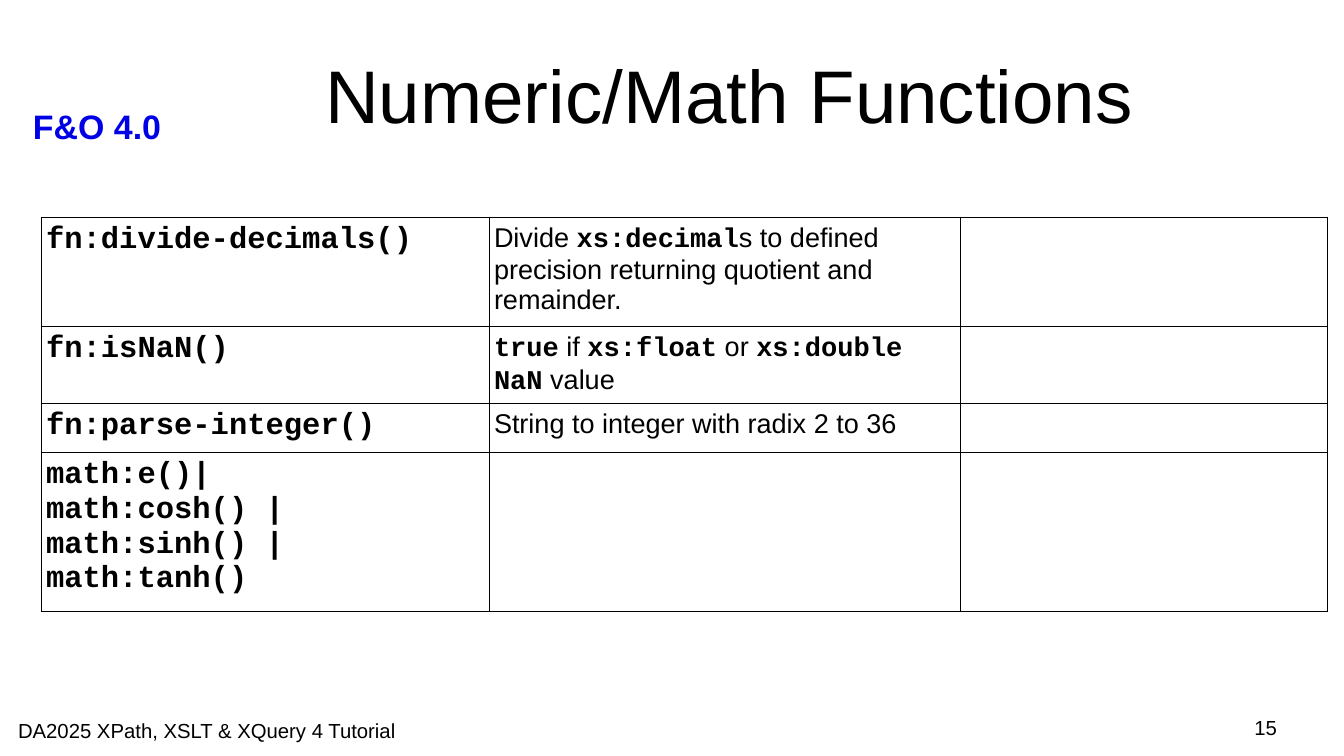
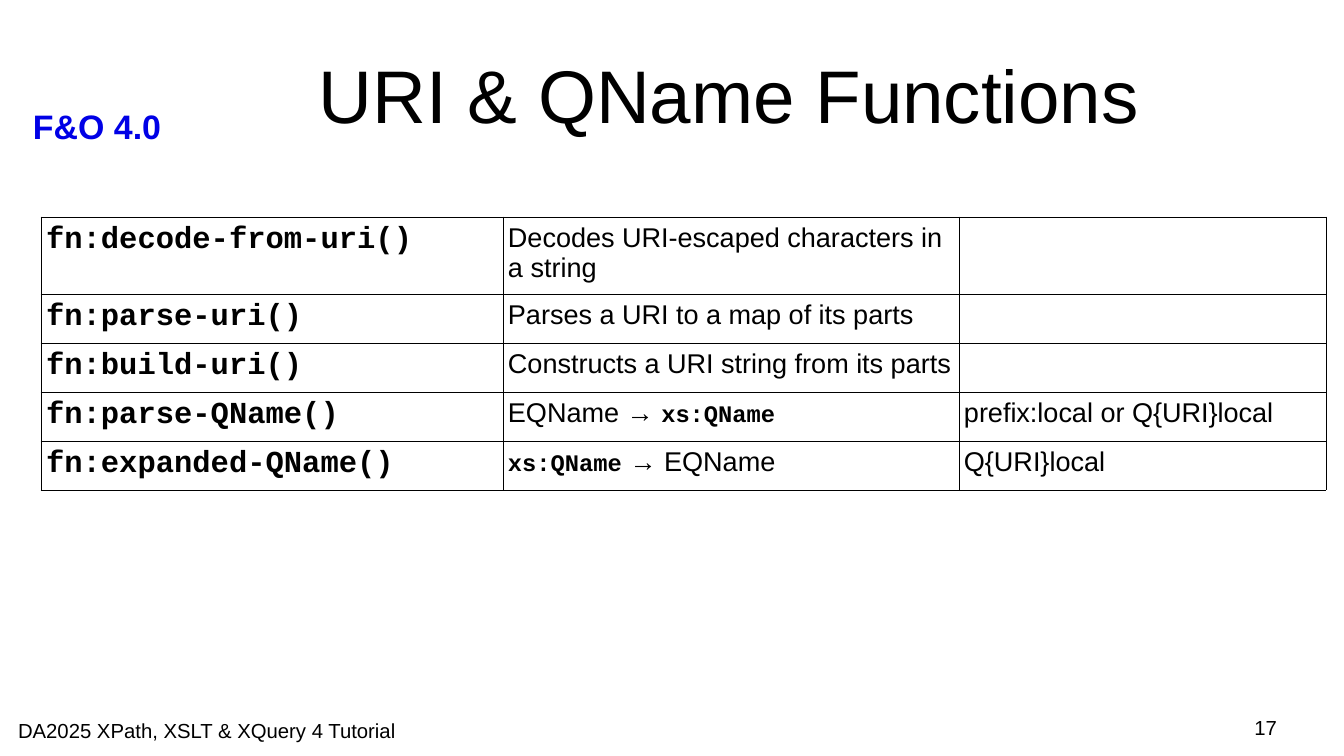
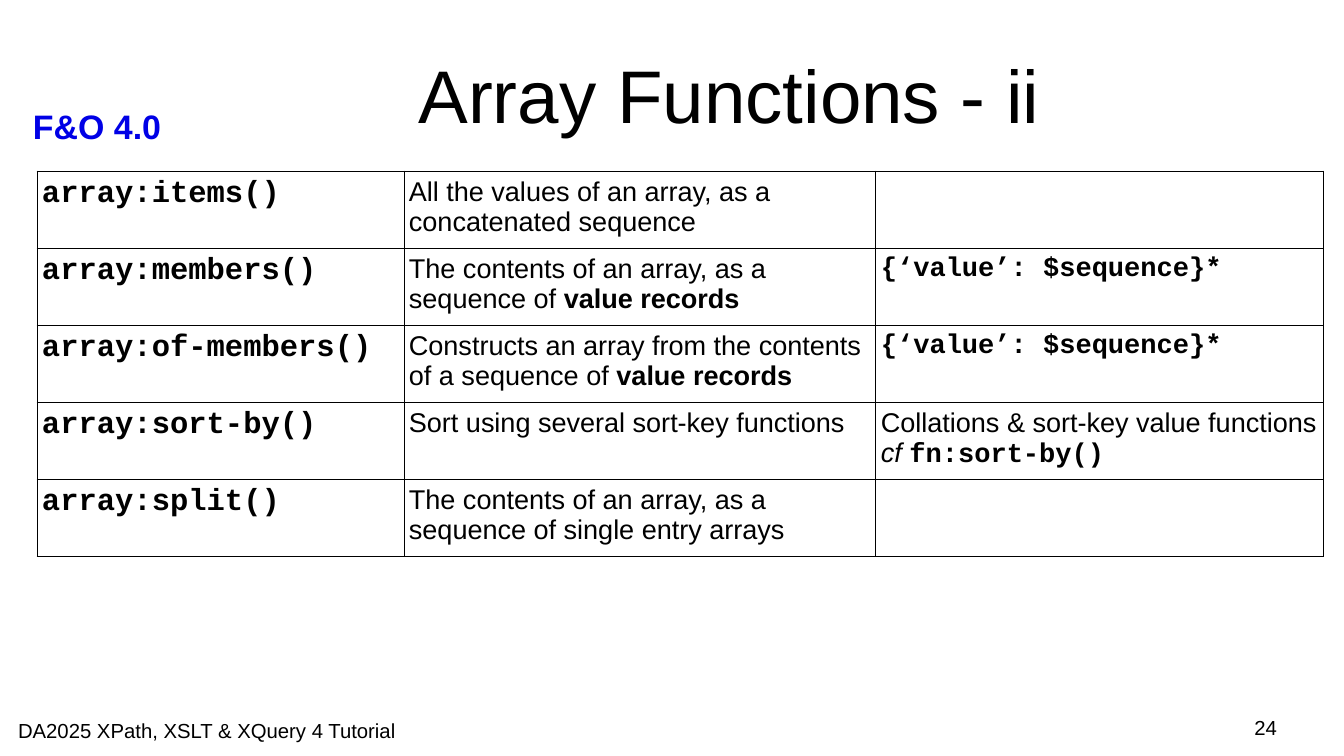
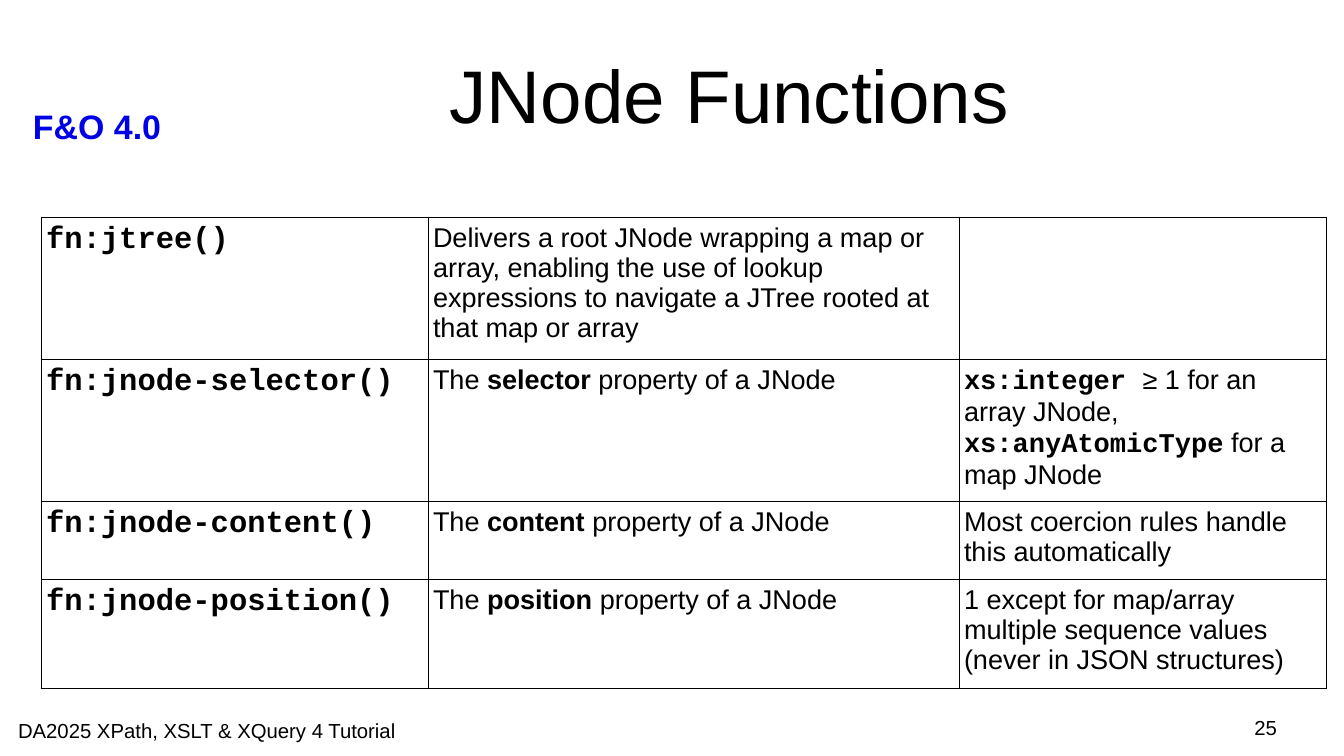
from dataclasses import dataclass, field

from lxml.etree import SubElement
from pptx import Presentation
from pptx.dml.color import RGBColor
from pptx.enum.text import MSO_ANCHOR, PP_ALIGN
from pptx.oxml.ns import qn
from pptx.util import Pt

PX = 7495  # EMU per px, 122 px to the inch


@dataclass(frozen=True)
class Theme:
    border: str = "000000"
    border_width: int = Pt(0.57)
    # style: font, size, bold, italic, colour
    styles: dict = field(default_factory=lambda: {
        "title": ("Arial", 44, False, False, "000000"),
        "badge": ("Arial", 20, True, False, "0000E6"),
        "footer": ("Arial", 12, False, False, "000000"),
        "name": ("Courier New", 18, True, False, "000000"),
        "plain": ("Arial", 16, False, False, "000000"),
        "bold": ("Arial", 16, True, False, "000000"),
        "italic": ("Arial", 16, False, True, "000000"),
        "code": ("Courier New", 16, True, False, "000000"),
        "small code": ("Courier New", 14, True, False, "000000"),
    })


theme = Theme()


def write(frame, paragraphs, align=PP_ALIGN.LEFT):
    """Fill a frame with paragraphs, each a list of (style, text) spans."""
    for index, spans in enumerate(paragraphs):
        para = frame.add_paragraph() if index else frame.paragraphs[0]
        para.alignment = align
        for style, text in spans:
            if text == "\n":
                para.add_line_break()
                continue
            span = para.add_run()
            span.text = text
            name, size, bold, italic, colour = theme.styles[style]
            span.font.name = name
            span.font.size = Pt(size)
            span.font.bold = bold
            span.font.italic = italic
            span.font.color.rgb = RGBColor.from_string(colour)


def set_margins(target, across, down):
    """Set the inner margins of a text frame or a table cell, in px."""
    target.margin_left = target.margin_right = across * PX
    target.margin_top = target.margin_bottom = down * PX


# Each row: height, function names, description spans, note spans
record_note = [("code", "{‘value’: $sequence}*")]
pages = [
    {
        "title": "Numeric/Math Functions", "number": 15,
        "corner": (41, 217), "columns": (448, 471, 367),
        "rows": [
            (109, "fn:divide-decimals()",
             [("plain", "Divide "), ("code", "xs:decimal"),
              ("plain", "s to defined precision returning quotient and remainder.")], []),
            (77, "fn:isNaN()",
             [("code", "true"), ("plain", " if "), ("code", "xs:float"), ("plain", " or "),
              ("code", "xs:double NaN"), ("plain", " value")], []),
            (49, "fn:parse-integer()", [("plain", "String to integer with radix 2 to 36")], []),
            (159, "math:e()|\nmath:cosh() | math:sinh() |math:tanh()", [], []),
        ],
    },
    {
        "title": "URI & QName Functions", "number": 17,
        "corner": (41, 217), "columns": (462, 456, 367),
        "rows": [
            (77, "fn:decode-from-uri()",
             [("plain", "Decodes URI-escaped characters in a string")], []),
            (49, "fn:parse-uri()", [("plain", "Parses a URI to a map of its parts")], []),
            (49, "fn:build-uri()", [("plain", "Constructs a URI string from its parts")], []),
            (49, "fn:parse-QName()", [("plain", "EQName → "), ("small code", "xs:QName")],
             [("plain", "prefix:local or Q{URI}local")]),
            (49, "fn:expanded-QName()", [("small code", "xs:QName"), ("plain", " → EQName")],
             [("plain", "Q{URI}local")]),
        ],
    },
    {
        "title": "Array Functions - ii", "number": 24,
        "corner": (37, 171), "columns": (367, 472, 448),
        "rows": [
            (77, "array:items()",
             [("plain", "All the values of an array, as a concatenated sequence")], []),
            (77, "array:members()",
             [("plain", "The contents of an array, as a sequence of "),
              ("bold", "value records")], record_note),
            (77, "array:of-members()",
             [("plain", "Constructs an array from the contents of a sequence of "),
              ("bold", "value records")], record_note),
            (77, "array:sort-by()", [("plain", "Sort using several sort-key functions")],
             [("plain", "Collations & sort-key value functions"), ("plain", "\n"),
              ("italic", "cf "), ("code", "fn:sort-by()")]),
            (77, "array:split()",
             [("plain", "The contents of an array, as a sequence of single entry arrays")], []),
        ],
    },
    {
        "title": "JNode Functions", "number": 25,
        "corner": (41, 217), "columns": (387, 531, 367),
        "rows": [
            (142, "fn:jtree()",
             [("plain", "Delivers a root JNode wrapping a map or array, enabling the use of "
                        "lookup expressions to navigate a JTree rooted at that map or array")], []),
            (109, "fn:jnode-selector()",
             [("plain", "The "), ("bold", "selector"), ("plain", " property of a JNode")],
             [("code", "xs:integer "), ("plain", "≥ 1 for an array JNode, "),
              ("code", "xs:anyAtomicType"), ("plain", " for a map JNode")]),
            (78, "fn:jnode-content()",
             [("plain", "The "), ("bold", "content"), ("plain", " property of a JNode")],
             [("plain", "Most coercion rules handle this automatically")]),
            (109, "fn:jnode-position()",
             [("plain", "The "), ("bold", "position"), ("plain", " property of a JNode")],
             [("plain", "1 except for map/array multiple sequence values "
                        "(never in JSON structures)")]),
        ],
    },
]

deck = Presentation()
deck.slide_width = 1344 * PX
deck.slide_height = 756 * PX

for content in pages:
    page = deck.slides.add_slide(deck.slide_layouts[6])

    # Badge, title, footer and page number
    for style, text, place, margins, align, anchor in (
        ("badge", "F&O 4.0", (21, 100, 168, 50), (12, 6), PP_ALIGN.LEFT, MSO_ANCHOR.TOP),
        ("title", content["title"], (181, 30, 1097, 127), (0, 0),
         PP_ALIGN.CENTER, MSO_ANCHOR.MIDDLE),
        ("footer", "DA2025 XPath, XSLT & XQuery 4 Tutorial", (18, 718, 426, 23), (0, 0),
         PP_ALIGN.LEFT, MSO_ANCHOR.TOP),
        ("footer", str(content["number"]), (963, 715, 314, 29), (0, 0),
         PP_ALIGN.RIGHT, MSO_ANCHOR.TOP),
    ):
        box = page.shapes.add_textbox(*(length * PX for length in place))
        frame = box.text_frame
        frame.word_wrap = True
        frame.vertical_anchor = anchor
        set_margins(frame, *margins)
        write(frame, [[(style, text)]], align)

    # Function table
    rows, columns = content["rows"], content["columns"]
    left, top = content["corner"]
    height = sum(row[0] for row in rows)
    table = page.shapes.add_table(len(rows), len(columns), left * PX, top * PX,
                                  sum(columns) * PX, height * PX).table
    table.first_row = table.horz_banding = False
    for column, width in zip(table.columns, columns):
        column.width = width * PX
    for table_row, (row_height, names, description, note) in zip(table.rows, rows):
        table_row.height = row_height * PX
        name_paragraphs = [[("name", line)] for line in names.splitlines()]
        for cell, paragraphs in zip(table_row.cells, (name_paragraphs, [description], [note])):
            set_margins(cell, 5, 6)
            write(cell.text_frame, paragraphs)

            # Cell borders come before the fill
            properties = cell._tc.get_or_add_tcPr()
            for side in ("a:lnL", "a:lnR", "a:lnT", "a:lnB"):
                line = SubElement(properties, qn(side), w=str(theme.border_width))
                SubElement(SubElement(line, qn("a:solidFill")), qn("a:srgbClr"),
                           val=theme.border)
            cell.fill.background()

deck.save("out.pptx")
